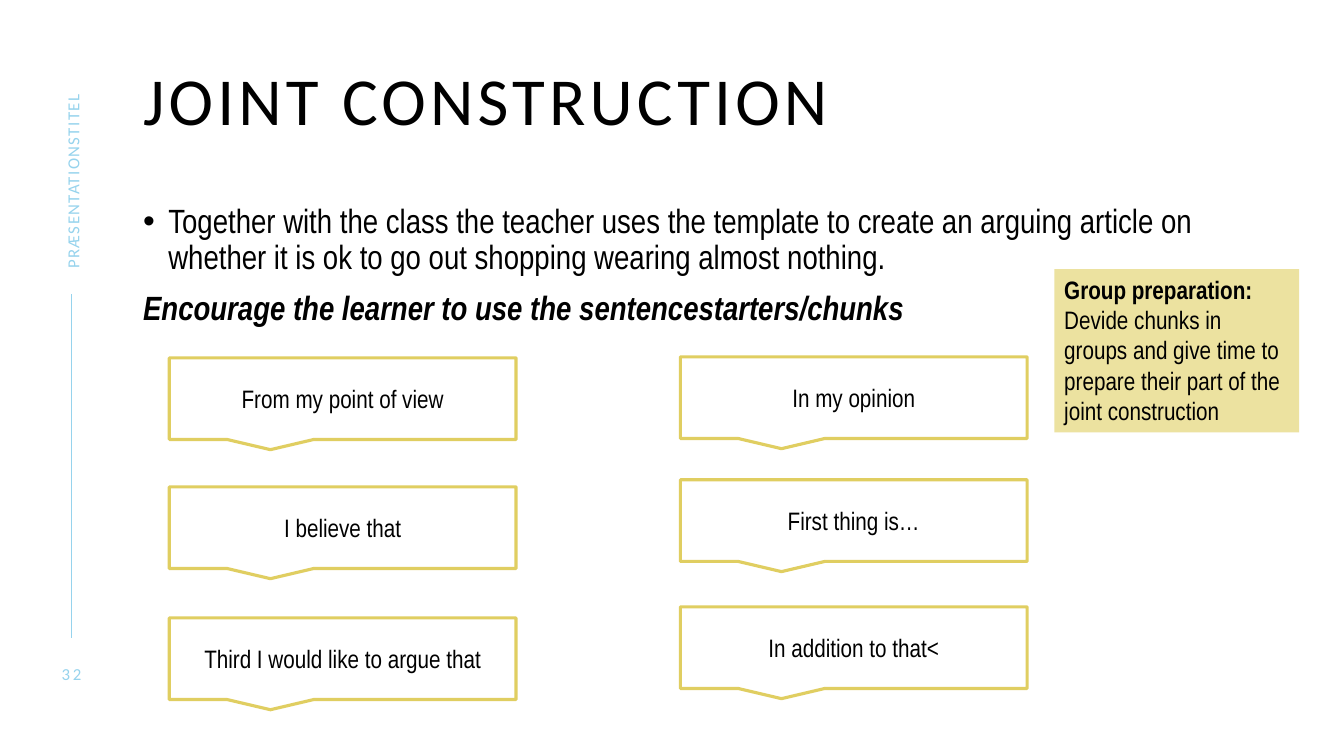
import dataclasses

import pptx
import pptx.dml.color
import pptx.enum.dml
import pptx.enum.shapes
import pptx.enum.text
import pptx.oxml
import pptx.oxml.ns
import pptx.util

Pt = pptx.util.Pt
Align = pptx.enum.text.PP_ALIGN
Anchor = pptx.enum.text.MSO_ANCHOR
Fit = pptx.enum.text.MSO_AUTO_SIZE
Shape = pptx.enum.shapes.MSO_SHAPE


@dataclasses.dataclass(frozen=True)
class Theme:
    ink: str = "000000"
    paper: str = "FFFFFF"
    side: str = "96D3ED"
    outline: str = "E0CE61"
    note: str = "ECE2A0"
    heading_font: str = "Calibri"
    text_font: str = "Arial Narrow"
    title_size: int = 48
    body_size: int = 24
    box_size: int = 18
    side_size: int = 12


THEME = Theme()


def rgb(value):
    return pptx.dml.color.RGBColor.from_string(value)


def add_span(para, text, font, size, color, bold=False, italic=False, spacing=0):
    span = para.add_run()
    span.text = text
    span.font.name = font
    span.font.size = Pt(size)
    span.font.color.rgb = rgb(color)
    span.font.bold = bold
    span.font.italic = italic
    if spacing:
        span.font._element.set("spc", str(spacing * 100))


def place(shape, left, top, width, height):
    shape.left, shape.top = Pt(left), Pt(top)
    shape.width, shape.height = Pt(width), Pt(height)


def prepare_frame(shape, anchor, inset=True, fit=Fit.NONE):
    frame = shape.text_frame
    frame.word_wrap = True
    frame.auto_size = fit
    frame.vertical_anchor = anchor
    if not inset:
        frame.margin_left = frame.margin_right = Pt(0)
        frame.margin_top = frame.margin_bottom = Pt(0)
    return frame


def set_bullet(para, symbol=None, indent=0):
    properties = para._p.get_or_add_pPr()
    properties.set("marL", str(Pt(indent)))
    properties.set("indent", str(-Pt(indent)))
    tag = "a:buChar" if symbol else "a:buNone"
    bullet = pptx.oxml.parse_xml(f"<{tag} {pptx.oxml.ns.nsdecls('a')}/>")
    if symbol:
        bullet.set("char", symbol)
    properties.append(bullet)


def fill_title(page, text):
    title = page.shapes.title
    place(title, 102.24, 48.24, 792, 72)
    para = prepare_frame(title, Anchor.TOP, inset=False).paragraphs[0]
    para.alignment = Align.LEFT
    para.line_spacing = 0.9
    add_span(para, text, THEME.heading_font, THEME.title_size, THEME.ink, spacing=3)


def fill_body(page, point, appeal):
    body = page.placeholders[1]
    place(body, 102.24, 146.16, 773.28, 342.72)
    frame = prepare_frame(body, Anchor.TOP, inset=False)
    first, second = frame.paragraphs[0], frame.add_paragraph()
    set_bullet(first, "•", 18)
    set_bullet(second)
    for para, before in ((first, 0), (second, 10)):
        para.line_spacing = 0.9
        para.space_before = Pt(before)
    add_span(first, point, THEME.text_font, THEME.body_size, THEME.ink)
    add_span(second, appeal, THEME.text_font, THEME.body_size, THEME.ink, True, True)


def add_side_text(page, text, bounds, align, spacing, rotation=0):
    box = page.shapes.add_textbox(*map(Pt, bounds))
    box.rotation = rotation
    para = prepare_frame(box, Anchor.MIDDLE, inset=False).paragraphs[0]
    para.alignment = align
    add_span(para, text, THEME.heading_font, THEME.side_size, THEME.side, spacing=spacing)


def add_side_line(page, x, top, bottom):
    line = page.shapes.add_connector(
        pptx.enum.shapes.MSO_CONNECTOR.STRAIGHT, Pt(x), Pt(top), Pt(x), Pt(bottom))
    line.line.color.rgb = rgb(THEME.side)
    line.line.width = Pt(1)
    effects = pptx.oxml.parse_xml(f"<a:effectLst {pptx.oxml.ns.nsdecls('a')}/>")
    line._element.spPr.append(effects)


def add_box(page, kind, bounds, fill):
    box = page.shapes.add_shape(kind, *map(Pt, bounds))
    box.shadow.inherit = False
    box.fill.solid()
    box.fill.fore_color.rgb = rgb(fill)
    return box


def add_callout(page, text, left, top):
    box = add_box(page, Shape.RECTANGULAR_CALLOUT, (left, top, 247.68, 58.32), THEME.paper)
    box.line.color.rgb = rgb(THEME.outline)
    box.line.width = Pt(2.25)
    para = prepare_frame(box, Anchor.MIDDLE).paragraphs[0]
    para.alignment = Align.CENTER
    add_span(para, text, THEME.text_font, THEME.box_size, THEME.ink)


def add_note(page, heading, text):
    box = add_box(page, Shape.RECTANGLE, (753.12, 192.24, 174.96, 116.64), THEME.note)
    box.line.fill.background()
    frame = prepare_frame(box, Anchor.TOP, fit=Fit.SHAPE_TO_FIT_TEXT)
    first, second = frame.paragraphs[0], frame.add_paragraph()
    for para, words, bold in ((first, heading, True), (second, text, False)):
        para.alignment = Align.LEFT
        add_span(para, words, THEME.text_font, THEME.box_size, THEME.ink, bold)


def main():
    deck = pptx.Presentation()
    deck.slide_width, deck.slide_height = Pt(960), Pt(540)
    page = deck.slides.add_slide(deck.slide_layouts[1])
    page.background.fill.solid()
    page.background.fill.fore_color.rgb = rgb(THEME.paper)

    add_side_line(page, 51.12, 210.24, 455.76)
    fill_title(page, "JOINT CONSTRUCTION")
    fill_body(
        page,
        "Together with the class the teacher uses the template to create an arguing "
        "article on whether it is ok to go out shopping wearing almost nothing.",
        "Encourage the learner to use the sentencestarters/chunks")
    add_side_text(page, "32", (33.12, 473.76, 36, 14.4), Align.CENTER, 2)
    add_side_text(page, "PRÆSENTATIONSTITEL", (-28.8, 98.64, 161.28, 25.2),
                  Align.LEFT, 1, rotation=270)

    starters = {
        120.96: (("From my point of view", 255.6),
                 ("I believe that", 347.76),
                 ("Third I would like to argue that", 441.36)),
        486: (("In my opinion", 254.88),
              ("First thing is…", 342.72),
              ("In addition to that<", 433.44)),
    }
    for left, column in starters.items():
        for text, top in column:
            add_callout(page, text, left, top)

    add_note(page, "Group preparation:",
             "Devide chunks in groups and give time to prepare their part of the "
             "joint construction")
    deck.save("out.pptx")


if __name__ == "__main__":
    main()
